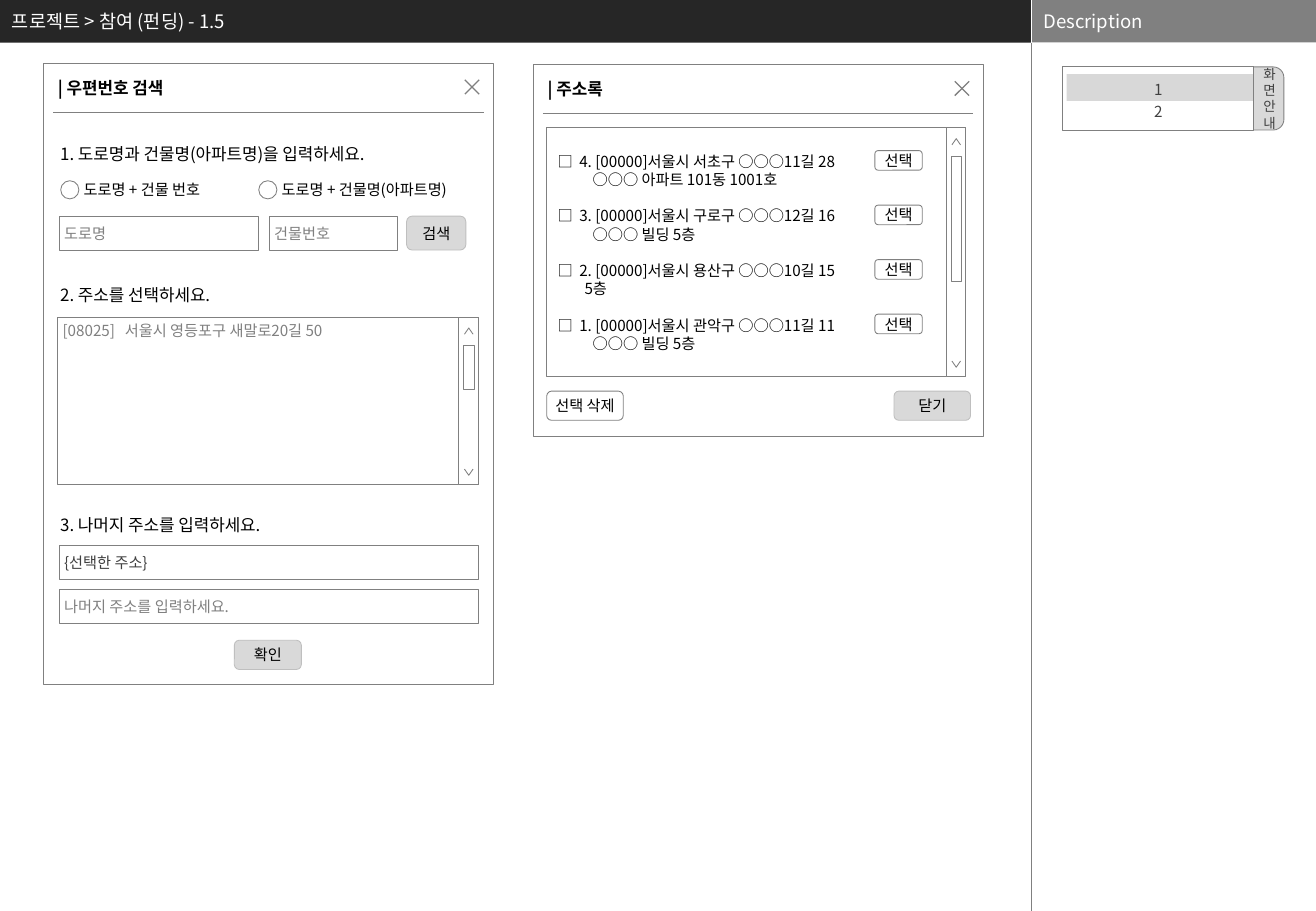
from dataclasses import dataclass

from lxml import etree
from pptx import Presentation
from pptx.dml.color import RGBColor as RGB
from pptx.enum.shapes import MSO_CONNECTOR as CONN, MSO_SHAPE as SHAPE
from pptx.enum.text import MSO_ANCHOR as ANCHOR, PP_ALIGN as ALIGN
from pptx.oxml.ns import qn
from pptx.util import Cm, Pt


@dataclass(frozen=True)
class Theme:
    font: str = "Noto Sans CJK KR"
    bar: str = "262626"
    gray: str = "808080"
    button: str = "D9D9D9"
    button_line: str = "BFBFBF"
    dark: str = "404040"
    black: str = "000000"
    white: str = "FFFFFF"
    header: int = 11
    heading: int = 10
    body: int = 9
    small: int = 8


T = Theme()
PAGE_W, PAGE_H, SPLIT, BAR_H = 27.51, 19.05, 21.56, 0.89
ADDRESSES = [
    ("4. [00000]서울시 서초구 ○○○11길 28", "○○○ 아파트 101동 1001호", 0.86),
    ("3. [00000]서울시 구로구 ○○○12길 16", "○○○ 빌딩 5층", 0.86),
    ("2. [00000]서울시 용산구 ○○○10길 15", "5층", 0.69),
    ("1. [00000]서울시 관악구 ○○○11길 11", "○○○ 빌딩 5층", 0.86),
]


# Basic parts
def write(sp, lines, size=T.body, color=T.black, bold=False, align=ALIGN.LEFT,
          anchor=ANCHOR.MIDDLE, inset=0.1, wrap=False, spacing=None):
    tf = sp.text_frame
    frame = dict(word_wrap=wrap, vertical_anchor=anchor, margin_left=Cm(inset),
                 margin_right=Cm(inset), margin_top=0, margin_bottom=0)
    for name, value in frame.items():
        setattr(tf, name, value)
    for i, line in enumerate(lines):
        p = tf.paragraphs[0] if i == 0 else tf.add_paragraph()
        p.alignment = align
        if spacing:
            p.line_spacing = Pt(spacing)
        r = p.add_run()
        r.text = line
        for name, value in dict(name=T.font, size=Pt(size), bold=bold).items():
            setattr(r.font, name, value)
        r.font.color.rgb = RGB.from_string(color)
        etree.SubElement(r.font._element, qn("a:ea"), typeface=T.font)
    return tf


def indent(p, left, first=0.0):
    p._p.get_or_add_pPr().set("marL", str(Cm(left)))
    p._p.get_or_add_pPr().set("indent", str(Cm(first)))


def paint(sp, fill=None, line=T.gray, width=0.5):
    sp.shadow.inherit = False
    if fill:
        sp.fill.solid()
        sp.fill.fore_color.rgb = RGB.from_string(fill)
    else:
        sp.fill.background()
    if line:
        sp.line.color.rgb = RGB.from_string(line)
        sp.line.width = Pt(width)
    else:
        sp.line.fill.background()
    return sp


def box(s, x, y, w, h, fill=None, line=T.gray, kind=SHAPE.RECTANGLE):
    return paint(s.shapes.add_shape(kind, Cm(x), Cm(y), Cm(w), Cm(h)), fill, line)


def label(s, x, y, w, h, text, **fmt):
    write(s.shapes.add_textbox(Cm(x), Cm(y), Cm(w), Cm(h)), [text], **fmt)


def rule(s, x1, y1, x2, y2, color=T.gray, width=0.5):
    c = s.shapes.add_connector(CONN.STRAIGHT, Cm(x1), Cm(y1), Cm(x2), Cm(y2))
    c.line.color.rgb = RGB.from_string(color)
    c.line.width = Pt(width)
    etree.SubElement(c._element.spPr, qn("a:effectLst"))


def strokes(s, *paths, width=0.5):
    points = [[(Cm(x), Cm(y)) for x, y in path] for path in paths]
    builder = s.shapes.build_freeform(*points[0][0])
    for i, path in enumerate(points):
        if i:
            builder.move_to(*path[0])
        builder.add_line_segments(path[1:], close=False)
    paint(builder.convert_to_shape(), width=width)


# Form controls
def field(s, x, y, w, text, color=T.gray):
    write(box(s, x, y, w, 0.71, T.white), [text], color=color)


def button(s, x, y, w, h, text, filled=True):
    colors = (T.button, T.button_line) if filled else (None, T.gray)
    write(box(s, x, y, w, h, *colors, SHAPE.ROUNDED_RECTANGLE), [text], align=ALIGN.CENTER)


def radio(s, x, y, text):
    box(s, x, y, 0.38, 0.38, T.white, kind=SHAPE.OVAL)
    label(s, x + 0.28, y - 0.1, 4, 0.58, text, inset=0.2)


def scrollbar(s, right, y, h, thumb):
    x, mid = right - 0.41, right - 0.2
    box(s, x, y, 0.41, h, T.white)
    box(s, mid - 0.11, y + 0.6, 0.23, thumb, T.white)
    for tip, base in ((y + 0.23, y + 0.36), (y + h - 0.2, y + h - 0.33)):
        strokes(s, [(mid - 0.09, base), (mid, tip), (mid + 0.09, base)])


def panel(s, x, y, w, h, title):
    box(s, x, y, w, h)
    label(s, x + 0.05, y + 0.17, 4, 0.69, title, size=T.heading, bold=True, inset=0.25)
    rule(s, x + 0.2, y + 1.03, x + w - 0.2, y + 1.03)
    left, top, d = x + w - 0.59, y + 0.35, 0.3
    strokes(s, [(left + d, top), (left, top + d)], [(left, top), (left + d, top + d)], width=0.75)


# Page header and side column
def header(s):
    title = s.shapes.title
    for name, value in dict(left=0, top=0, width=Cm(SPLIT), height=Cm(BAR_H)).items():
        setattr(title, name, value)
    title.fill.solid()
    title.fill.fore_color.rgb = RGB.from_string(T.bar)
    fmt = dict(size=T.header, color=T.white, inset=0.25)
    write(title, ["프로젝트 > 참여 (펀딩) - 1.5"], **fmt)
    side = box(s, SPLIT, 0, PAGE_W - SPLIT, BAR_H, T.gray, None)
    write(side, ["Description"], **fmt)
    rule(s, SPLIT, 0, SPLIT, BAR_H, T.white, 0.25)
    rule(s, SPLIT, BAR_H, SPLIT, PAGE_H, width=0.25)


def screen_guide(s, x, y, w, h):
    tab = box(s, x + w - 1.17, y, 1.17, h, T.button, kind=SHAPE.ROUNDED_RECTANGLE)
    tab.adjustments[0] = 0.19
    write(tab, "화면안내", T.small, T.dark, align=ALIGN.RIGHT, spacing=9.6)
    write(box(s, x, y, 3.99, h, T.white), "12", color=T.dark, align=ALIGN.CENTER, spacing=13)
    current = box(s, x + 0.08, y + 0.15, 3.89, 0.56, T.dark, None)
    color = current.fill._xPr.find(qn("a:solidFill"))[0]
    etree.SubElement(color, qn("a:alpha"), val="20000")


# Postcode search window
def postcode_search(s, x, y, w, h):
    panel(s, x, y, w, h, "| 우편번호 검색")
    headings = [(1.55, "1. 도로명과 건물명(아파트명)을 입력하세요."),
                (4.5, "2. 주소를 선택하세요."),
                (9.3, "3. 나머지 주소를 입력하세요.")]
    for dy, text in headings:
        label(s, x + 0.1, y + dy, 8.13, 0.69, text, size=T.heading, inset=0.25)
    radio(s, x + 0.36, y + 2.46, "도로명 + 건물 번호")
    radio(s, x + 4.5, y + 2.46, "도로명 + 건물명(아파트명)")
    field(s, x + 0.33, y + 3.2, 4.17, "도로명")
    field(s, x + 4.72, y + 3.2, 2.69, "건물번호")
    button(s, x + 7.59, y + 3.2, 1.24, 0.71, "검색")

    results = box(s, x + 0.3, y + 5.31, 8.79, 3.51)
    tf = write(results, ["[08025]\t서울시 영등포구 새말로20길 50"], color=T.gray,
               anchor=ANCHOR.TOP, spacing=10.8)
    tf.margin_top = Cm(0.1)
    indent(tf.paragraphs[0], 1.3, -1.3)
    scrollbar(s, x + 9.09, y + 5.31, 3.51, 0.91)

    field(s, x + 0.33, y + 10.08, 8.76, "{선택한 주소}", T.dark)
    field(s, x + 0.33, y + 11, 8.76, "나머지 주소를 입력하세요.")
    button(s, x + 3.99, y + 12.07, 1.4, 0.61, "확인")


# Address book window
def address_book(s, x, y, w, h):
    panel(s, x, y, w, h, "| 주소록")
    lines = [t for first, second, _ in ADDRESSES for t in ("□\t" + first, second)]
    tf = write(box(s, x + 0.28, y + 1.32, 8.76, 5.21), lines, spacing=10.8)
    for i, (_, _, left) in enumerate(ADDRESSES):
        first, second = tf.paragraphs[2 * i:2 * i + 2]
        indent(first, 0.58, -0.45)
        indent(second, left)
        if i:
            first.space_before = Pt(10.8)
        button(s, x + 7.14, y + 1.8 + 1.14 * i, 0.99, 0.41, "선택", filled=False)
    scrollbar(s, x + 9.04, y + 1.32, 5.21, 2.62)
    button(s, x + 0.28, y + 6.83, 1.6, 0.61, "선택 삭제", filled=False)
    button(s, x + 7.54, y + 6.83, 1.6, 0.61, "닫기")


def main():
    prs = Presentation()
    prs.slide_width, prs.slide_height = Cm(PAGE_W), Cm(PAGE_H)
    s = prs.slides.add_slide(prs.slide_layouts[5])
    header(s)
    postcode_search(s, 0.91, 1.32, 9.4, 13)
    address_book(s, 11.15, 1.35, 9.4, 7.77)
    screen_guide(s, 22.22, 1.4, 4.62, 1.32)
    prs.save("out.pptx")


if __name__ == "__main__":
    main()
